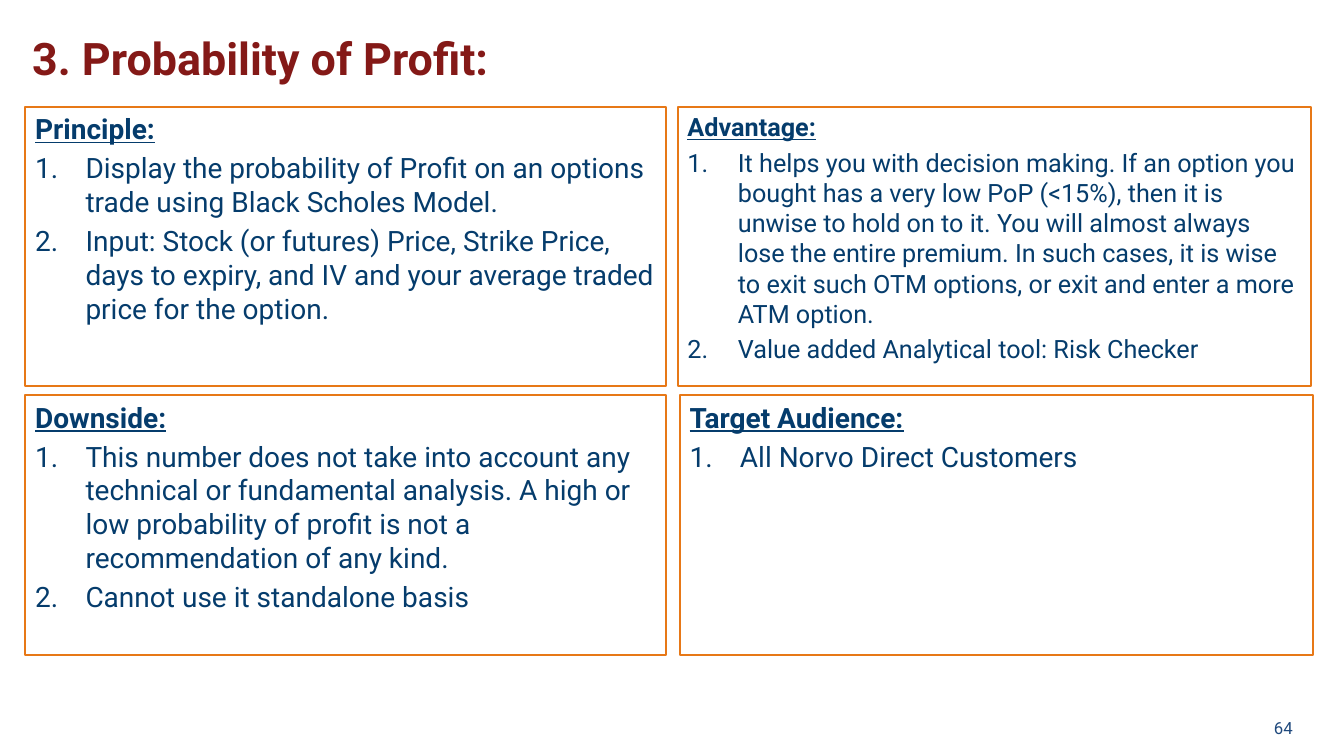
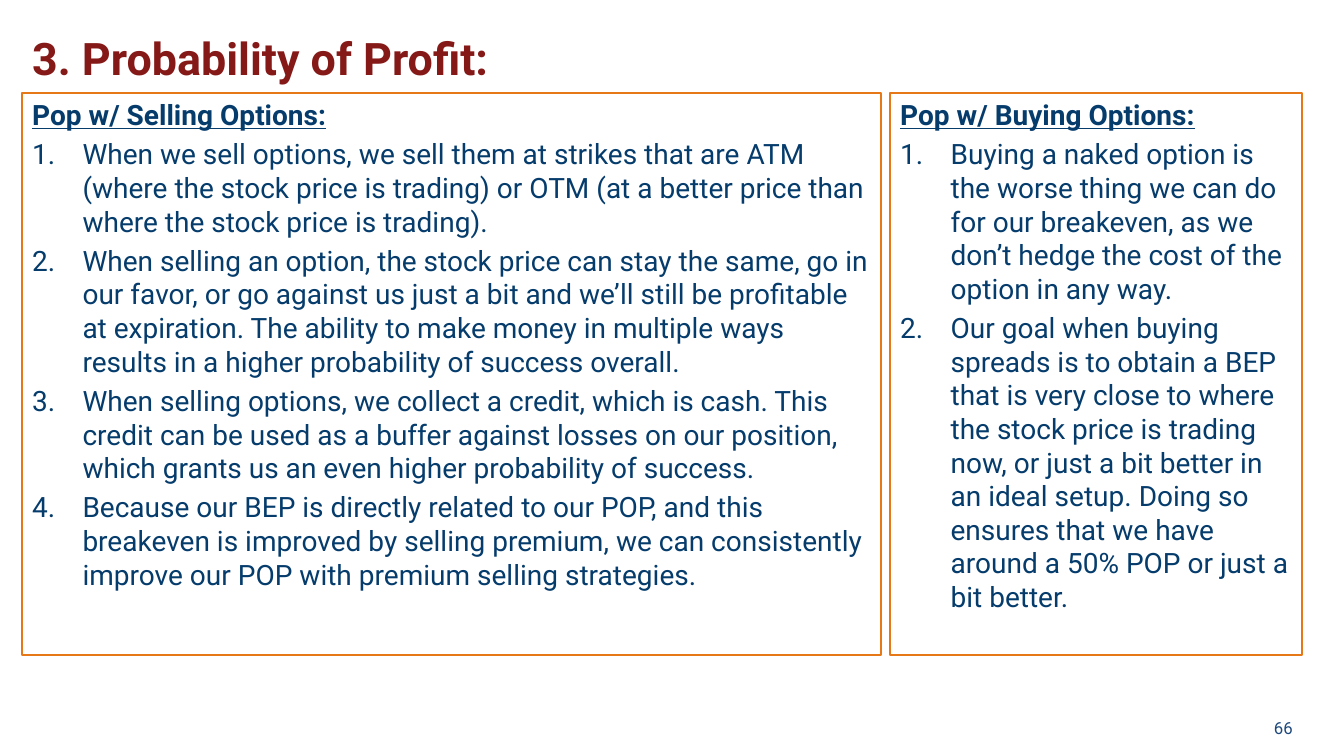
"""Build two slides on the probability of profit."""
from dataclasses import dataclass

from lxml.etree import SubElement
from pptx import Presentation
from pptx.dml.color import RGBColor
from pptx.enum.shapes import MSO_SHAPE as Shape
from pptx.enum.text import MSO_ANCHOR as Anchor, PP_ALIGN as Align
from pptx.oxml.ns import qn
from pptx.util import Inches, Pt

RED = RGBColor(0x84, 0x19, 0x17)
NAVY = RGBColor(0x05, 0x3C, 0x6C)
BLUE = RGBColor(0x1F, 0x49, 0x7D)
ORANGE = RGBColor(0xE7, 0x78, 0x17)

FACE = "Roboto"
TITLE = "3. Probability of Profit:"
TITLE_BOX = (0.22, 0.26, 12.78, 0.82)
PAGE_BOX = (12.25, 7.02, 0.67, 0.4)
INDENT = Inches(0.5)
HEAD = {"bold": True, "underline": True}
BODY = {"bold": False, "underline": False}
Box = tuple[float, float, float, float]


@dataclass
class Panel:
    """A framed box with a heading and a numbered list."""
    box: Box
    head: str
    items: list[str]
    size: int = 20


@dataclass
class Page:
    """A page number and its panels."""
    number: int
    panels: list[Panel]


LEFT, WIDE, SLIM = 0.25, 6.36, 6.28
TOP, TALL = 1.06, 2.77
LOW, SHORT = 3.92, 2.58
DUO_TOP, DUO_TALL = 0.92, 5.58

PAGES = [
    Page(64, [
        Panel((LEFT, TOP, WIDE, TALL), "Principle:", [
            "Display the probability of Profit on an options trade using Black Scholes Model.",
            "Input: Stock (or futures) Price, Strike Price, days to expiry, and IV "
            "and your average traded price for the option.",
        ]),
        Panel((6.72, TOP, SLIM, TALL), "Advantage:", [
            "It helps you with decision making. If an option you bought has a very low "
            "PoP (<15%), then it is unwise to hold on to it. You will almost always lose "
            "the entire premium. In such cases, it is wise to exit such OTM options, or "
            "exit and enter a more ATM option.",
            "Value added Analytical tool: Risk Checker",
        ], 18),
        Panel((LEFT, LOW, WIDE, SHORT), "Downside:", [
            "This number does not take into account any technical or fundamental analysis. "
            "A high or low probability of profit is not a recommendation of any kind.",
            "Cannot use it standalone basis",
        ]),
        Panel((6.74, LOW, SLIM, SHORT), "Target Audience:", [
            "All Norvo Direct Customers",
        ]),
    ]),
    Page(66, [
        Panel((0.22, DUO_TOP, 8.52, DUO_TALL), "Pop w/ Selling Options:", [
            "When we sell options, we sell them at strikes that are ATM (where the stock "
            "price is trading) or OTM (at a better price than where the stock price is "
            "trading).",
            "When selling an option, the stock price can stay the same, go in our favor, "
            "or go against us just a bit and we’ll still be profitable at expiration. The "
            "ability to make money in multiple ways results in a higher probability of "
            "success overall.",
            "When selling options, we collect a credit, which is cash. This credit can be "
            "used as a buffer against losses on our position, which grants us an even "
            "higher probability of success.",
            "Because our BEP is directly related to our POP, and this breakeven is "
            "improved by selling premium, we can consistently improve our POP with "
            "premium selling strategies.",
        ]),
        Panel((8.83, DUO_TOP, 4.08, DUO_TALL), "Pop w/ Buying Options:", [
            "Buying a naked option is the worse thing we can do for our breakeven, as we "
            "don’t hedge the cost of the option in any way.",
            "Our goal when buying spreads is to obtain a BEP that is very close to where "
            "the stock price is trading now, or just a bit better in an ideal setup. "
            "Doing so ensures that we have around a 50% POP or just a bit better.",
        ]),
    ]),
]


def write(para, text: str, size: int, color: RGBColor, form: dict) -> None:
    """Add one styled run to a paragraph."""
    run = para.add_run()
    run.text = text
    for key, value in {"name": FACE, "size": Pt(size), **form}.items():
        setattr(run.font, key, value)
    run.font.color.rgb = color


def label(slide, box: Box, text: str, size: int, color: RGBColor, form: dict,
          align=Align.LEFT, anchor=Anchor.TOP) -> None:
    """Draw a one-line text box."""
    frame = slide.shapes.add_textbox(*map(Inches, box)).text_frame
    frame.word_wrap = True
    frame.vertical_anchor = anchor
    para = frame.paragraphs[0]
    para.alignment = align
    write(para, text, size, color, form)


def add_item(frame, text: str, size: int) -> None:
    """Add a numbered paragraph with a hanging indent."""
    para = frame.add_paragraph()
    props = para._p.get_or_add_pPr()
    props.set("marL", str(INDENT))
    props.set("indent", str(-INDENT))
    SubElement(props, qn("a:buFont"), typeface="+mj-lt")
    SubElement(props, qn("a:buAutoNum"), type="arabicPeriod")
    para.alignment = Align.LEFT
    para.space_before = Pt(size * 0.2)
    write(para, text, size, NAVY, BODY)


def draw_panel(slide, panel: Panel) -> None:
    """Draw a framed panel."""
    shape = slide.shapes.add_shape(Shape.RECTANGLE, *map(Inches, panel.box))
    shape.shadow.inherit = False
    shape.fill.background()
    shape.line.color.rgb = ORANGE
    shape.line.width = Pt(1.5)
    frame = shape.text_frame
    frame.word_wrap = True
    frame.vertical_anchor = Anchor.TOP
    para = frame.paragraphs[0]
    para.alignment = Align.LEFT
    write(para, panel.head, panel.size, NAVY, HEAD)
    for item in panel.items:
        add_item(frame, item, panel.size)


def draw_page(deck, page: Page) -> None:
    """Add a slide with title, page number and panels."""
    slide = deck.slides.add_slide(deck.slide_layouts[6])
    label(slide, TITLE_BOX, TITLE, 32, RED, {"bold": True})
    label(slide, PAGE_BOX, str(page.number), 12, BLUE, {}, Align.RIGHT, Anchor.MIDDLE)
    for panel in page.panels:
        draw_panel(slide, panel)


def main() -> None:
    """Build and save the deck."""
    deck = Presentation()
    deck.slide_width = Inches(13.33)
    deck.slide_height = Inches(7.5)
    for page in PAGES:
        draw_page(deck, page)
    deck.save("out.pptx")


if __name__ == "__main__":
    main()
